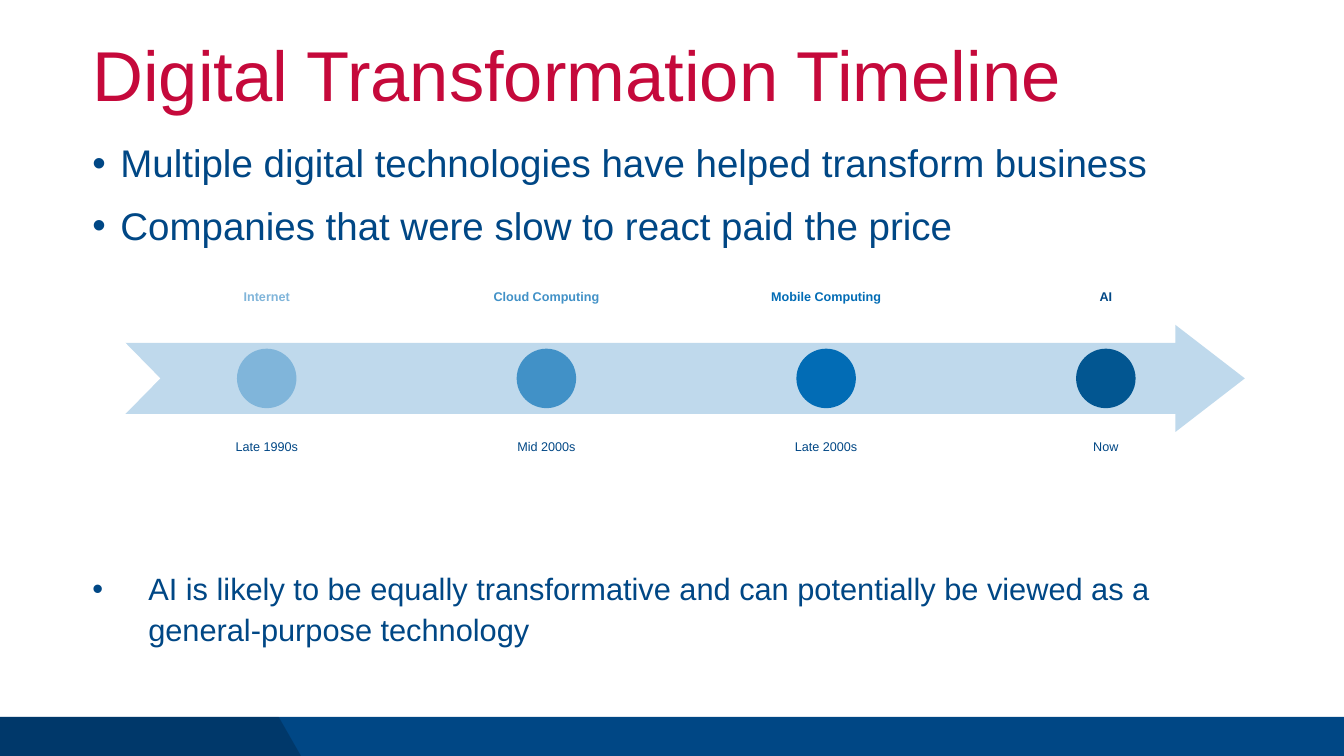
"""Build the Digital Transformation Timeline slide."""
from dataclasses import dataclass

import pptx
import pptx.dml.color
import pptx.enum.shapes
import pptx.enum.text
import pptx.oxml
import pptx.oxml.ns
import pptx.util

Pt = pptx.util.Pt
Align = pptx.enum.text.PP_ALIGN
Preset = pptx.enum.shapes.MSO_SHAPE


@dataclass(frozen=True)
class Theme:
    """Hold the colours, font and type sizes of the slide."""
    font: str = "Arial"
    title: str = "C5093B"
    navy: str = "004785"
    arrow: str = "80B5DA"
    white: str = "FFFFFF"
    black: str = "000000"
    title_size: float = 50.4
    body_size: float = 27.5
    closing_size: float = 22
    label_size: float = 9


THEME = Theme()

MILESTONES = [
    ("Internet", "Late 1990s", "80B5DA", "80B5DA", 104),
    ("Cloud Computing", "Mid 2000s", "4191C7", "4191C7", 170),
    ("Mobile Computing", "Late 2000s", "026CB5", "026CB5", 170),
    ("AI", "Now", "025691", "004785", 104),
]
FIRST_CENTER, PITCH, MIDDLE = 190.5, 199.8, 270.3
CIRCLE_SIZE, LABEL_HEIGHT, DATE_WIDTH = 42.5, 18, 104
LABEL_TOP, DATE_TOP = 203, 309.6


def rgb(value):
    """Return a colour from its hexadecimal text."""
    return pptx.dml.color.RGBColor.from_string(value)


def place(shape, left, top, width, height):
    """Move and size a shape in points."""
    shape.left, shape.top = Pt(left), Pt(top)
    shape.width, shape.height = Pt(width), Pt(height)


def paint(shape, color, opacity=100):
    """Give a shape a plain fill without line or shadow."""
    shape.shadow.inherit = False
    shape.line.fill.background()
    shape.fill.solid()
    shape.fill.fore_color.rgb = rgb(color)
    if opacity < 100:
        color_element = shape.fill._xPr.find(".//" + pptx.oxml.ns.qn("a:srgbClr"))
        alpha = pptx.oxml.parse_xml(
            f'<a:alpha {pptx.oxml.ns.nsdecls("a")} val="{opacity * 1000}"/>')
        color_element.append(alpha)


def add_bullet(paragraph, indent, color):
    """Give a paragraph a hanging bullet."""
    properties = paragraph._p.get_or_add_pPr()
    properties.set("marL", str(Pt(indent)))
    properties.set("indent", str(-Pt(indent)))
    namespace = pptx.oxml.ns.nsdecls("a")
    for xml in (f'<a:buClr {namespace}><a:srgbClr val="{color}"/></a:buClr>',
                f'<a:buFont {namespace} typeface="{THEME.font}"/>',
                f'<a:buChar {namespace} char="•"/>'):
        properties.append(pptx.oxml.parse_xml(xml))


def write_text(shape, *lines, size, color=THEME.navy, bold=False, align=Align.LEFT,
               line_spacing=1.0, space_before=0, indent=0, inset=0):
    """Write one formatted paragraph per line into a shape."""
    frame = shape.text_frame
    frame.word_wrap = True
    frame.auto_size = pptx.enum.text.MSO_AUTO_SIZE.NONE
    frame.vertical_anchor = pptx.enum.text.MSO_ANCHOR.TOP
    frame.margin_left = frame.margin_right = Pt(inset)
    frame.margin_top = frame.margin_bottom = Pt(inset)
    for index, line in enumerate(lines):
        paragraph = frame.add_paragraph() if index else frame.paragraphs[0]
        if indent:
            add_bullet(paragraph, indent, color)
        paragraph.alignment = align
        paragraph.line_spacing = line_spacing
        paragraph.space_before = Pt(space_before if index else 0)
        run = paragraph.add_run()
        run.text = line
        run.font.name = THEME.font
        run.font.size = Pt(size)
        run.font.bold = bold
        run.font.color.rgb = rgb(color)


def add_text(shapes, text, left, top, width, height, **text_format):
    """Add a text box and write into it."""
    box = shapes.add_textbox(Pt(left), Pt(top), Pt(width), Pt(height))
    write_text(box, text, **text_format)


def add_preset(shapes, preset, left, top, width, height, color, opacity=100):
    """Add a filled preset shape."""
    shape = shapes.add_shape(preset, Pt(left), Pt(top), Pt(width), Pt(height))
    paint(shape, color, opacity)
    return shape


def add_polygon(shapes, points, color, opacity=100):
    """Add a filled closed outline through the points."""
    start, *others = [(Pt(x), Pt(y)) for x, y in points]
    builder = shapes.build_freeform(*start)
    builder.add_line_segments(others, close=True)
    paint(builder.convert_to_shape(), color, opacity)


def add_footer(shapes):
    """Add the footer band with its darker left end."""
    add_preset(shapes, Preset.RECTANGLE, 0, 512, 960, 28, THEME.navy)
    add_polygon(shapes, [(0, 512), (199, 512), (215, 540), (0, 540)], THEME.black, 20)


def add_milestone(shapes, center, name, date, color, name_color, name_width):
    """Add one circle with its name above and its date below."""
    add_preset(shapes, Preset.OVAL, center - CIRCLE_SIZE / 2, MIDDLE - CIRCLE_SIZE / 2,
               CIRCLE_SIZE, CIRCLE_SIZE, color)
    label_format = {"size": THEME.label_size, "align": Align.CENTER, "inset": 3.6}
    add_text(shapes, name, center - name_width / 2, LABEL_TOP, name_width, LABEL_HEIGHT,
             color=name_color, bold=True, **label_format)
    add_text(shapes, date, center - DATE_WIDTH / 2, DATE_TOP, DATE_WIDTH, LABEL_HEIGHT,
             **label_format)


def add_timeline(slide):
    """Add the grouped arrow with its notch and milestones."""
    shapes = slide.shapes.add_group_shape().shapes
    arrow = add_preset(shapes, Preset.RIGHT_ARROW, 80.6, MIDDLE - 38.2, 808.6, 76.4,
                       THEME.arrow, 50)
    arrow.adjustments[0] = 0.665
    arrow.adjustments[1] = 0.648
    add_polygon(shapes, [(114.5, MIDDLE), (71.3, MIDDLE + 44), (71.3, MIDDLE - 44)],
                THEME.white)
    for index, milestone in enumerate(MILESTONES):
        add_milestone(shapes, FIRST_CENTER + index * PITCH, *milestone)


def main():
    """Build and save the presentation."""
    presentation = pptx.Presentation()
    presentation.slide_width, presentation.slide_height = Pt(960), Pt(540)
    slide = presentation.slides.add_slide(presentation.slide_layouts[1])
    add_footer(slide.shapes)

    title, body = slide.shapes.title, slide.placeholders[1]
    place(title, 66, 29, 828, 38)
    write_text(title, "Digital Transformation Timeline", size=THEME.title_size,
               color=THEME.title, line_spacing=0.9)
    place(body, 66, 103, 828, 114.5)
    write_text(body, "Multiple digital technologies have helped transform business",
               "Companies that were slow to react paid the price",
               size=THEME.body_size, line_spacing=0.9, space_before=15, indent=20)

    add_timeline(slide)
    add_text(slide.shapes, "AI is likely to be equally transformative and can potentially "
             "be viewed as a general-purpose technology", 66, 404.6, 828, 98.6,
             size=THEME.closing_size, line_spacing=1.1, indent=40)
    presentation.save("out.pptx")


if __name__ == "__main__":
    main()
